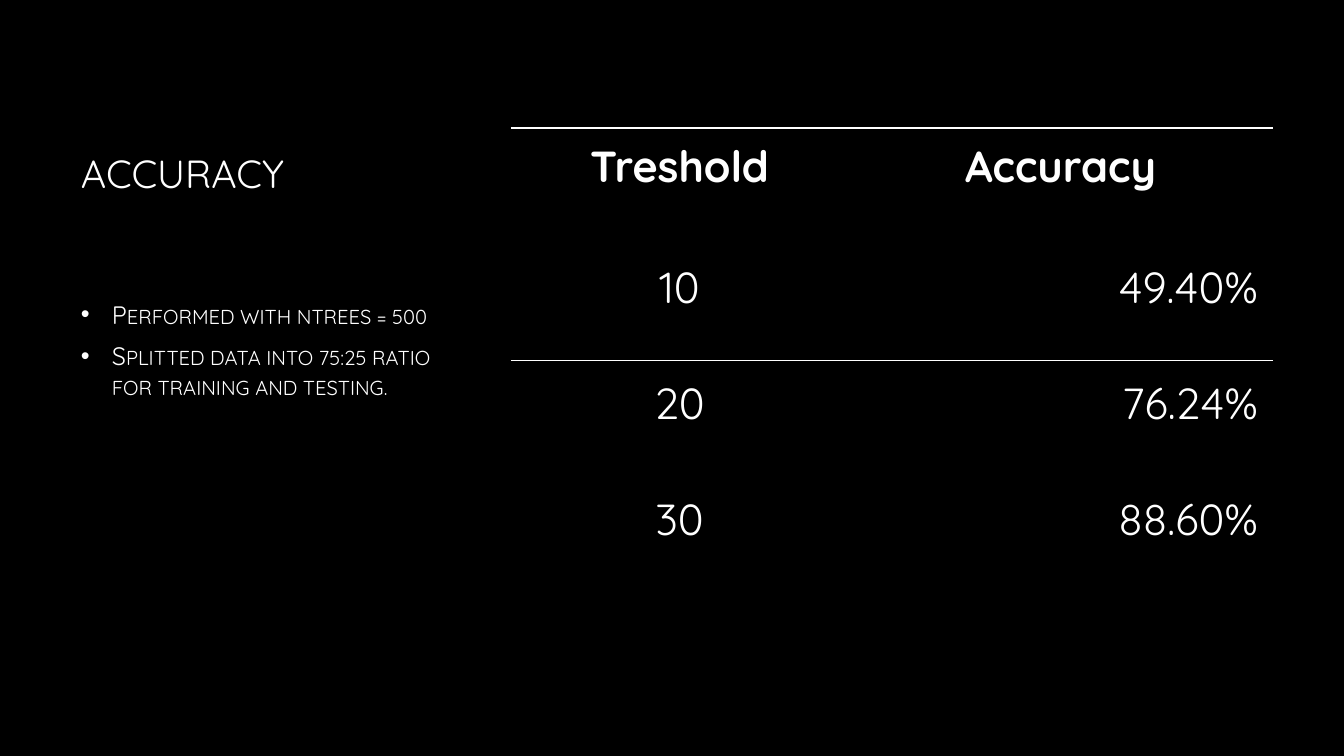
from dataclasses import dataclass

from lxml.etree import SubElement
from pptx import Presentation
from pptx.dml.color import RGBColor
from pptx.enum.text import MSO_ANCHOR, PP_ALIGN
from pptx.oxml.ns import qn
from pptx.util import Emu, Pt

EMU_PER_PX = 914400 / 100.8
COLORS = {"background": "000000", "text": "FFFFFF", "rule": "FFFFFF"}
FONT = "Quicksand"
PLAIN_TABLE_STYLE = "{2D5ABB26-0587-4C30-8999-92F81FD0307C}"


@dataclass(frozen=True)
class TextBlock:
    left: int
    top: int
    width: int
    height: int
    size: int
    anchor: MSO_ANCHOR
    lines: tuple[str, ...]
    bulleted: bool = False


@dataclass(frozen=True)
class TableRow:
    values: tuple[str, str]
    header: bool = False
    top_rule: float = 0
    bottom_rule: float = 0


TEXT_BLOCKS = (
    TextBlock(71, 68, 401, 210, 28, MSO_ANCHOR.MIDDLE, ("ACCURACY",)),
    TextBlock(71, 294, 401, 134, 18, MSO_ANCHOR.TOP, (
        "Performed with ntrees = 500",
        "Splitted data into 75:25 ratio for training and testing.",
    ), bulleted=True),
)
TABLE_ROWS = (
    TableRow(("Treshold", "Accuracy"), header=True, top_rule=2.25),
    TableRow(("10", "49.40%"), bottom_rule=0.5),
    TableRow(("20", "76.24%"), top_rule=0.5),
    TableRow(("30", "88.60%")),
)
TABLE_LEFT, TABLE_TOP, ROW_HEIGHT = 511, 128, 116
COLUMN_WIDTHS = (352, 410)
CELL_MARGINS = {"left": 0, "top": 6, "right": 15, "bottom": 46}
BULLET_INDENT = 31


def px(length: int) -> Emu:
    return Emu(round(length * EMU_PER_PX))


def color(name: str) -> RGBColor:
    return RGBColor.from_string(COLORS[name])


def add_span(para, text: str, size: float, bold: bool = False):
    span = para.add_run()
    span.text = text
    span.font.name = FONT
    span.font.size = Pt(size)
    span.font.bold = bold
    span.font.color.rgb = color("text")
    return span


def add_bullet(para) -> None:
    properties = para._p.get_or_add_pPr()
    properties.set("marL", str(px(BULLET_INDENT)))
    properties.set("indent", str(-px(BULLET_INDENT)))
    bullet_color = SubElement(properties, qn("a:buClr"))
    SubElement(bullet_color, qn("a:srgbClr"), val=COLORS["text"])
    SubElement(properties, qn("a:buFont"), typeface="Arial")
    SubElement(properties, qn("a:buChar"), char="•")


def add_text_block(page, block: TextBlock) -> None:
    box = page.shapes.add_textbox(
        px(block.left), px(block.top), px(block.width), px(block.height))
    frame = box.text_frame
    frame.word_wrap = True
    frame.vertical_anchor = block.anchor
    for index, line in enumerate(block.lines):
        para = frame.add_paragraph() if index else frame.paragraphs[0]
        if block.bulleted:
            add_bullet(para)
            para.space_after = Pt(6)
            if index:
                para.space_before = Pt(2)
        span = add_span(para, line, block.size)
        if block.bulleted:
            span.font._element.set("cap", "small")


def add_rule(cell, side: str, width: float) -> None:
    properties = cell._tc.get_or_add_tcPr()
    rule = SubElement(properties, qn(f"a:ln{side}"), w=str(Pt(width)))
    if width:
        fill = SubElement(rule, qn("a:solidFill"))
        SubElement(fill, qn("a:srgbClr"), val=COLORS["rule"])
    else:
        SubElement(rule, qn("a:noFill"))


def fill_cell(cell, row: TableRow, column: int) -> None:
    rules = {"L": 0, "R": 0, "T": row.top_rule, "B": row.bottom_rule}
    for side, width in rules.items():
        add_rule(cell, side, width)
    cell.fill.solid()
    cell.fill.fore_color.rgb = color("background")
    for side, margin in CELL_MARGINS.items():
        setattr(cell, f"margin_{side}", px(margin))
    cell.vertical_anchor = MSO_ANCHOR.MIDDLE if row.header else MSO_ANCHOR.BOTTOM
    para = cell.text_frame.paragraphs[0]
    centred = row.header or column == 0
    para.alignment = PP_ALIGN.CENTER if centred else PP_ALIGN.RIGHT
    add_span(para, row.values[column], 31, row.header)


def add_accuracy_table(page) -> None:
    frame = page.shapes.add_table(
        len(TABLE_ROWS), len(COLUMN_WIDTHS), px(TABLE_LEFT), px(TABLE_TOP),
        px(sum(COLUMN_WIDTHS)), px(ROW_HEIGHT * len(TABLE_ROWS)))
    table = frame.table
    table.horz_banding = False
    table._tbl.tblPr.find(qn("a:tableStyleId")).text = PLAIN_TABLE_STYLE
    for column, width in enumerate(COLUMN_WIDTHS):
        table.columns[column].width = px(width)
    for index, row in enumerate(TABLE_ROWS):
        table.rows[index].height = px(ROW_HEIGHT)
        for column in range(len(COLUMN_WIDTHS)):
            fill_cell(table.cell(index, column), row, column)


def main() -> None:
    deck = Presentation()
    deck.slide_width, deck.slide_height = px(1344), px(756)
    page = deck.slides.add_slide(deck.slide_layouts[6])
    page.background.fill.solid()
    page.background.fill.fore_color.rgb = color("background")
    for block in TEXT_BLOCKS:
        add_text_block(page, block)
    add_accuracy_table(page)
    deck.save("out.pptx")


if __name__ == "__main__":
    main()
